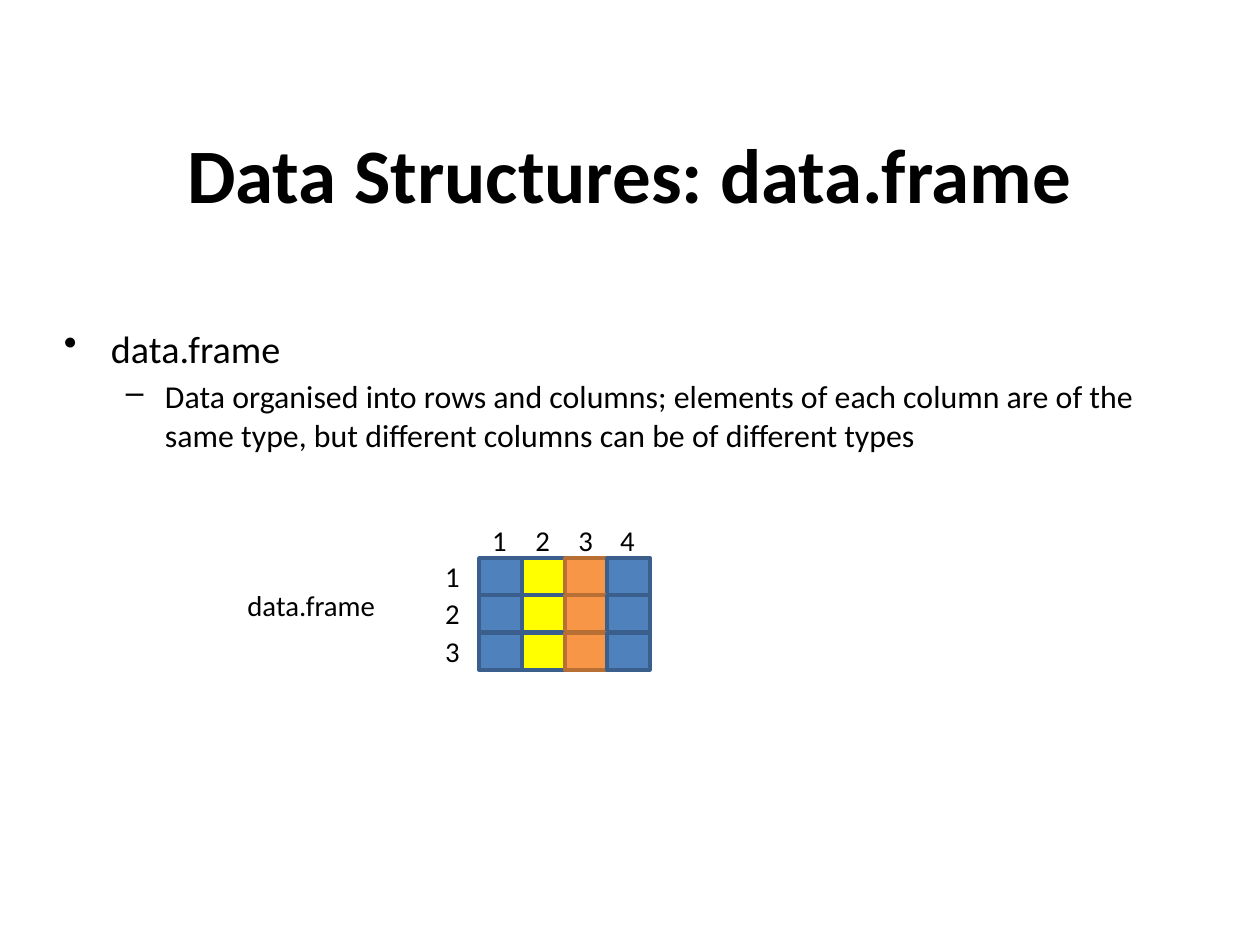
import pptx
import pptx.util
import pptx.dml.color
import pptx.enum.shapes
import pptx.enum.text
import pptx.oxml
import lxml.etree

RGBColor = pptx.dml.color.RGBColor
ALIGN = pptx.enum.text.PP_ALIGN
ANCHOR = pptx.enum.text.MSO_ANCHOR

BLACK = RGBColor(0x00, 0x00, 0x00)
BLUE = RGBColor(0x4F, 0x81, 0xBD)
DARK_BLUE = RGBColor(0x3A, 0x5F, 0x8C)
YELLOW = RGBColor(0xFF, 0xFF, 0x00)
ORANGE = RGBColor(0xF7, 0x96, 0x46)
DARK_ORANGE = RGBColor(0xB7, 0x6F, 0x34)
FONT = "Calibri"
LABEL_SIZE = 16.4

TITLE = "Data Structures: data.frame"
# text, level, size, space before, left margin, indent, bullet
BULLETS = [
    ("data.frame", 0, 21.8, 4.3, 48, -47, "•"),
    ("Data organised into rows and columns; elements of each column are of the "
     "same type, but different columns can be of different types",
     1, 18.2, 3.6, 102, -39, "–"),
]
FRAME_LABEL = "data.frame"
COLUMNS = [
    ("1", BLUE, DARK_BLUE),
    ("2", YELLOW, DARK_BLUE),
    ("3", ORANGE, DARK_ORANGE),
    ("4", BLUE, DARK_BLUE),
]
ROWS = ["1", "2", "3"]

GRID_LEFT, GRID_TOP, GRID_WIDTH, GRID_HEIGHT = 479, 558, 171, 112
CELL_WIDTH, CELL_HEIGHT = 43, 37
LABEL_HEIGHT = 47


def px(n):
    return pptx.util.Emu(round(n * 914400 / 126))


def set_font(p, size, bold=False):
    p.font.name = FONT
    p.font.size = pptx.util.Pt(size)
    p.font.bold = bold
    p.font.color.rgb = BLACK


def set_margins(tf, x, y):
    tf.margin_left = tf.margin_right = px(x)
    tf.margin_top = tf.margin_bottom = px(y)


def add_label(slide, text, x, y, w, align=ALIGN.CENTER):
    tf = slide.shapes.add_textbox(px(x), px(y), px(w), px(LABEL_HEIGHT)).text_frame
    set_margins(tf, 12.6, 6.3)
    tf.word_wrap = False
    p = tf.paragraphs[0]
    p.text = text
    p.alignment = align
    set_font(p, LABEL_SIZE)


def add_cell(slide, x, y, fill, line):
    sp = slide.shapes.add_shape(pptx.enum.shapes.MSO_SHAPE.RECTANGLE,
                                px(x), px(y), px(CELL_WIDTH), px(CELL_HEIGHT))
    sp.shadow.inherit = False
    sp.fill.solid()
    sp.fill.fore_color.rgb = fill
    sp.line.color.rgb = line
    sp.line.width = pptx.util.Pt(2)


def add_title(slide):
    sp = slide.shapes.title
    sp.left, sp.top, sp.width, sp.height = px(63), px(94), px(1134), px(158)
    tf = sp.text_frame
    set_margins(tf, 0, 0)
    tf.vertical_anchor = ANCHOR.MIDDLE
    p = tf.paragraphs[0]
    p.text = TITLE
    p.alignment = ALIGN.CENTER
    set_font(p, 44, True)


def add_bullets(slide):
    tf = slide.shapes.add_textbox(px(63), px(325), px(1134), px(170)).text_frame
    tf.word_wrap = True
    set_margins(tf, 0, 0)
    for i, (text, level, size, before, margin, indent, mark) in enumerate(BULLETS):
        p = tf.add_paragraph() if i else tf.paragraphs[0]
        p.text = text
        p.level = level
        p.space_before = pptx.util.Pt(before)
        set_font(p, size)
        pPr = p._p.get_or_add_pPr()
        pPr.set("marL", str(px(margin)))
        pPr.set("indent", str(px(indent)))
        bullet = lxml.etree.Element(pptx.oxml.ns.qn("a:buChar"), char=mark)
        pPr.find(pptx.oxml.ns.qn("a:defRPr")).addprevious(bullet)


def add_grid(slide):
    xs = [GRID_LEFT + round(c * GRID_WIDTH / len(COLUMNS)) for c in range(len(COLUMNS))]
    ys = [GRID_TOP + round(r * GRID_HEIGHT / len(ROWS)) for r in range(len(ROWS))]
    for y, row in zip(ys, ROWS):
        add_label(slide, row, GRID_LEFT - 48, y - 5, CELL_WIDTH)
        for x, (_, fill, line) in zip(xs, COLUMNS):
            add_cell(slide, x, y, fill, line)
    for x, (name, _, _) in zip(xs, COLUMNS):
        add_label(slide, name, x - 1, GRID_TOP - 41, CELL_WIDTH)


def main():
    prs = pptx.Presentation()
    prs.slide_width, prs.slide_height = px(1260), px(945)
    slide = prs.slides.add_slide(prs.slide_layouts[5])
    add_title(slide)
    add_bullets(slide)
    add_grid(slide)
    add_label(slide, FRAME_LABEL, 235, 582, 198, ALIGN.LEFT)
    prs.save("out.pptx")


if __name__ == "__main__":
    main()
